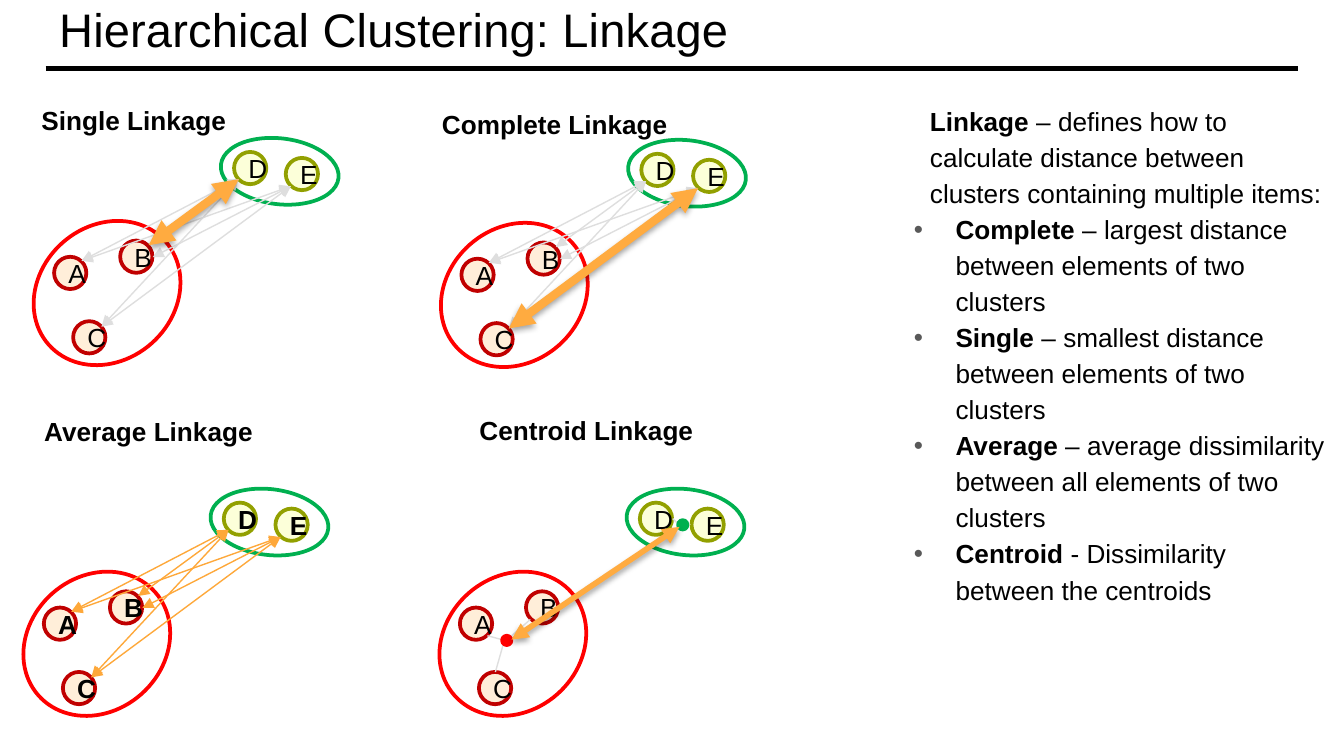
from lxml.etree import SubElement
from pptx import Presentation
from pptx.dml.color import RGBColor
from pptx.enum.shapes import MSO_CONNECTOR, MSO_SHAPE
from pptx.enum.text import MSO_ANCHOR, MSO_AUTO_SIZE, PP_ALIGN
from pptx.oxml.ns import qn
from pptx.util import Pt

BLACK = RGBColor(0x00, 0x00, 0x00)
BULLET_GREY = RGBColor(0x59, 0x59, 0x59)
PALE_GREY = RGBColor(0xDE, 0xDE, 0xDE)
ORANGE = RGBColor(0xFE, 0xA8, 0x3A)
BRIGHT_ORANGE = RGBColor(0xFF, 0xAB, 0x40)
RED = RGBColor(0xFF, 0x00, 0x00)
DARK_RED = RGBColor(0xC0, 0x00, 0x00)
PEACH = RGBColor(0xFF, 0xEE, 0xD9)
GREEN = RGBColor(0x00, 0xB0, 0x50)
OLIVE = RGBColor(0x92, 0xA0, 0x00)
LEMON = RGBColor(0xFC, 0xFF, 0xD9)

ITEMS = {
    "A": (13.4, 16.6, PEACH, DARK_RED),
    "B": (48.8, 7.9, PEACH, DARK_RED),
    "C": (23.6, 51.1, PEACH, DARK_RED),
    "D": (109.8, -39.6, LEMON, OLIVE),
    "E": (137.5, -36.4, LEMON, OLIVE),
}
ITEM_SIZE = 17.3
DOT_SIZE = 5

A_END, C_END = (28.1, 18.8), (38.8, 54)
B_TO_D, B_TO_E = (64, 10.4), (66.2, 16.8)
D_END, E_END = (112.3, -25), (140.2, -21.2)
DISTANCES = {
    "AD": (A_END, D_END),
    "BE": (B_TO_E, E_END),
    "BD": (B_TO_D, D_END),
    "CD": (C_END, D_END),
    "CE": (C_END, E_END),
    "AE": (A_END, E_END),
}
CENTROID_TIES = [
    ((28.1, 31.7), (36, 33.8)),
    ((32.4, 51.1), (36.7, 36)),
    ((51.1, 23), (40.3, 32.4)),
    ((130.3, -28.1), (127.4, -31)),
    ((136.8, -28.1), (133.9, -26.6)),
]
CENTROID_DISTANCE = ((41, 33.8), (131, -26.6))
CENTROIDS = [(36, 31.7, RED), (130.3, -30.2, GREEN)]

DEFINITIONS = [
    ("Linkage", " – defines how to calculate distance between clusters containing multiple items:"),
    ("Complete", " – largest distance between elements of two clusters"),
    ("Single", " – smallest distance between elements of two clusters"),
    ("Average", " – average dissimilarity between all elements of two clusters"),
    ("Centroid", " - Dissimilarity between the centroids"),
]


class LinkageSlide:
    font_name = "Arial"
    font_size = 14

    def __init__(self, slide):
        self.slide = slide

    def style(self, font, size=font_size, bold=False):
        font.name, font.size, font.bold = self.font_name, Pt(size), bold
        font.color.rgb = BLACK

    def place(self, holder, left, top, width, height):
        holder.left, holder.top = Pt(left), Pt(top)
        holder.width, holder.height = Pt(width), Pt(height)
        frame = holder.text_frame
        frame.auto_size = MSO_AUTO_SIZE.NONE
        frame.word_wrap = True
        frame.margin_left = frame.margin_right = Pt(7.2)
        frame.margin_top = frame.margin_bottom = Pt(7.2)
        return frame

    def title(self, text):
        frame = self.place(self.slide.shapes.title, 24.5, -0.7, 671, 32.4)
        frame.vertical_anchor = MSO_ANCHOR.MIDDLE
        heading = frame.paragraphs[0]
        heading.text = text
        heading.alignment = PP_ALIGN.LEFT
        self.style(heading.font, 25.2)
        heading.runs[0].font._element.set("spc", "10")

    def definitions(self, entries):
        frame = self.place(self.slide.placeholders[1], 482.4, 46.8, 237.6, 311.8)
        frame.vertical_anchor = MSO_ANCHOR.TOP
        for index, (term, meaning) in enumerate(entries):
            entry = frame.add_paragraph() if index else frame.paragraphs[0]
            entry.line_spacing = 1.15
            entry.space_before = entry.space_after = Pt(0)
            self.style(entry.font)
            for words, bold in ((term, True), (meaning, False)):
                run = entry.add_run()
                run.text = words
                run.font.bold = bold
            self.bullet(entry, index > 0)

    def bullet(self, entry, shown):
        props = entry._p.get_or_add_pPr()
        props.set("marL", str(Pt(22.3 if shown else 8.6)))
        props.set("indent", str(Pt(-22.3 if shown else 0)))
        following = props.find(qn("a:defRPr"))
        if shown:
            tint = SubElement(props, qn("a:buClr"))
            SubElement(tint, qn("a:srgbClr"), val=str(BULLET_GREY))
            SubElement(props, qn("a:buChar"), char="•")
        else:
            SubElement(props, qn("a:buNone"))
        if following is not None:
            props.append(following)

    def caption(self, text, left, top):
        box = self.slide.shapes.add_textbox(Pt(left), Pt(top), Pt(139), Pt(24.2))
        box.text_frame.word_wrap = True
        box.text_frame.auto_size = MSO_AUTO_SIZE.SHAPE_TO_FIT_TEXT
        box.text_frame.text = text
        self.style(box.text_frame.paragraphs[0].font, bold=True)

    def ellipse(self, left, top, width, height, line, fill=None, rotation=0):
        oval = self.slide.shapes.add_shape(
            MSO_SHAPE.OVAL, Pt(left), Pt(top), Pt(width), Pt(height))
        oval.shadow.inherit = False
        oval.rotation = rotation
        oval.line.color.rgb = line
        oval.line.width = Pt(2)
        if fill is None:
            oval.fill.background()
        else:
            oval.fill.solid()
            oval.fill.fore_color.rgb = fill
        return oval

    def item(self, letter, left, top, fill, line, bold):
        oval = self.ellipse(left, top, ITEM_SIZE, ITEM_SIZE, line, fill)
        oval.text_frame.text = letter
        label = oval.text_frame.paragraphs[0]
        label.alignment = PP_ALIGN.CENTER
        self.style(label.font, bold=bold)

    def line(self, start, end, color, width=0.75, arrows=False, shadow=False):
        link = self.slide.shapes.add_connector(
            MSO_CONNECTOR.STRAIGHT, *(Pt(value) for value in (*start, *end)))
        link.line.color.rgb = color
        link.line.width = Pt(width)
        if arrows:
            outline = link.line._get_or_add_ln()
            for side in ("a:headEnd", "a:tailEnd"):
                SubElement(outline, qn(side), type="triangle")
        effects = SubElement(link._element.spPr, qn("a:effectLst"))
        if shadow:
            outer = SubElement(effects, qn("a:outerShdw"), blurRad="40000",
                               dist="23000", dir="5400000", rotWithShape="0")
            tint = SubElement(outer, qn("a:srgbClr"), val=str(BLACK))
            SubElement(tint, qn("a:alpha"), val="35000")

    def clusters(self, x, y, bold=False):
        self.ellipse(x + 116.6, y - 60.9, 35.3, 63.4, GREEN, rotation=276.6)
        self.ellipse(x, y, 83.5, 72, RED, rotation=318.5)
        for letter, (dx, dy, fill, line) in ITEMS.items():
            self.item(letter, x + dx, y + dy, fill, line, bold)

    def span(self, x, y, ends, color, **look):
        start, end = ((x + dx, y + dy) for dx, dy in ends)
        self.line(start, end, color, **look)

    def pair_panel(self, x, y, color, chosen=None, bold=False):
        self.clusters(x, y, bold)
        for pair, ends in DISTANCES.items():
            if pair != chosen:
                self.span(x, y, ends, color, arrows=True)
        if chosen:
            self.span(x, y, DISTANCES[chosen], BRIGHT_ORANGE,
                      width=4.5, arrows=True, shadow=True)

    def centroid_panel(self, x, y):
        self.clusters(x, y)
        for ends in CENTROID_TIES:
            self.span(x, y, ends, PALE_GREY)
        for dx, dy, color in CENTROIDS:
            self.ellipse(x + dx, y + dy, DOT_SIZE, DOT_SIZE, color, color)
        self.span(x, y, CENTROID_DISTANCE, BRIGHT_ORANGE,
                  width=3, arrows=True, shadow=True)


def main():
    deck = Presentation()
    deck.slide_width, deck.slide_height = Pt(720), Pt(405)
    page = LinkageSlide(deck.slides.add_slide(deck.slide_layouts[1]))

    page.line((24.5, 36.7), (695.5, 36.7), BLACK, width=2.25)
    page.title("Hierarchical Clustering: Linkage")
    page.definitions(DEFINITIONS)

    page.caption("Single Linkage", 15.1, 52.6)
    page.caption("Complete Linkage", 229.7, 54.7)
    page.caption("Average Linkage", 16.6, 218.9)
    page.caption("Centroid Linkage", 249.8, 218.2)

    page.pair_panel(15.6, 121, PALE_GREY, chosen="BD")
    page.pair_panel(233.8, 122, PALE_GREY, chosen="CE")
    page.pair_panel(10.1, 308.9, ORANGE, bold=True)
    page.centroid_panel(233, 308.9)

    deck.save("out.pptx")


if __name__ == "__main__":
    main()
